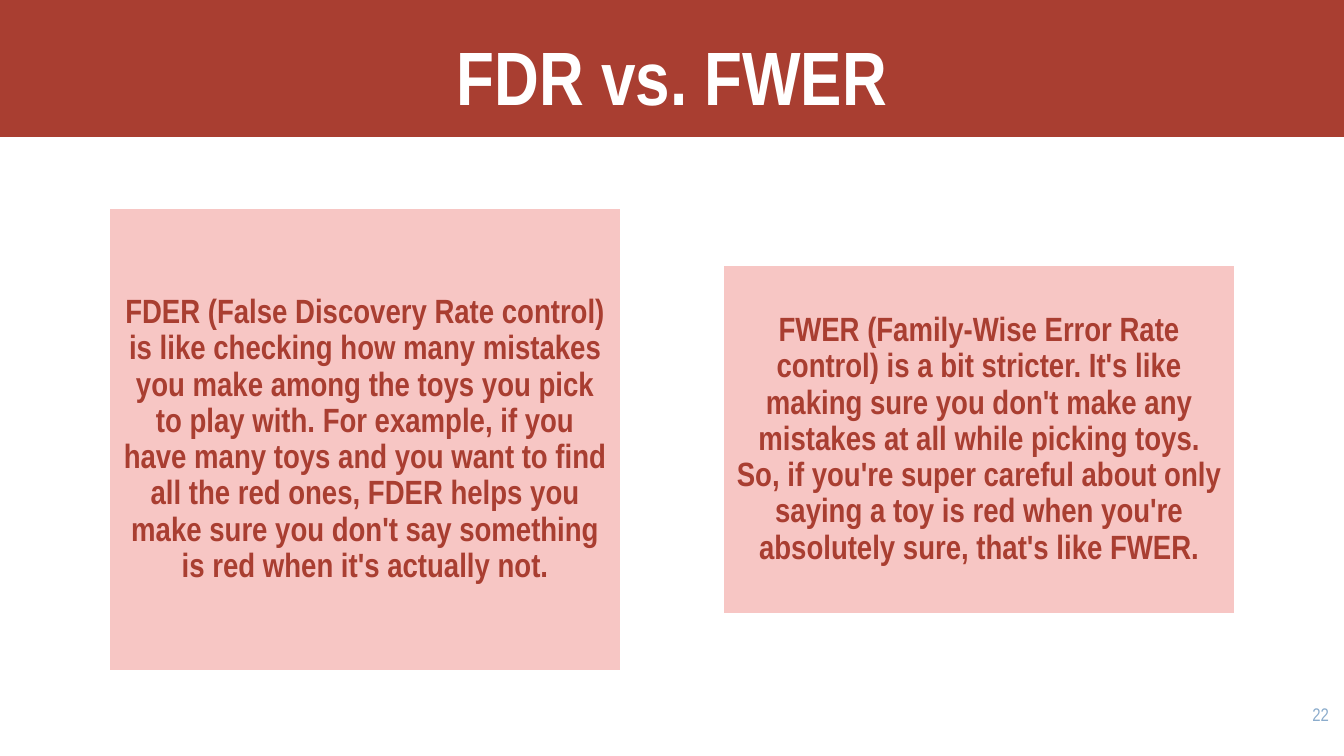
from pptx import Presentation
from pptx.dml.color import RGBColor
from pptx.enum.shapes import MSO_SHAPE
from pptx.enum.text import MSO_ANCHOR, MSO_AUTO_SIZE, PP_ALIGN
from pptx.util import Inches, Pt

RECTANGLE = MSO_SHAPE.RECTANGLE
TOP, MIDDLE, BOTTOM = MSO_ANCHOR.TOP, MSO_ANCHOR.MIDDLE, MSO_ANCHOR.BOTTOM
CENTER, RIGHT = PP_ALIGN.CENTER, PP_ALIGN.RIGHT
NO_AUTOFIT = MSO_AUTO_SIZE.NONE

FONT = "Arial Narrow"
COLORS = {"brick": "A93E31", "pink": "F7C6C4", "white": "FFFFFF", "number": "8BACCC"}

FDR_TEXT = (
    "FDER (False Discovery Rate control) is like checking how many mistakes you make "
    "among the toys you pick to play with. For example, if you have many toys and you "
    "want to find all the red ones, FDER helps you make sure you don't say something "
    "is red when it's actually not."
)
FWER_TEXT = (
    "FWER (Family-Wise Error Rate control) is a bit stricter. It's like making sure "
    "you don't make any mistakes at all while picking toys. So, if you're super careful "
    "about only saying a toy is red when you're absolutely sure, that's like FWER."
)


def color(name):
    return RGBColor.from_string(COLORS[name])


def write(shape, text, *, size, ink, bold=False, align=CENTER, anchor=MIDDLE,
          inset=(0.1, 0.05), spacing=1.0):
    """Put one formatted paragraph into a shape."""
    frame = shape.text_frame
    frame.word_wrap = True
    frame.auto_size = NO_AUTOFIT
    frame.vertical_anchor = anchor
    frame.margin_left = frame.margin_right = Inches(inset[0])
    frame.margin_top = frame.margin_bottom = Inches(inset[1])
    paragraph = frame.paragraphs[0]
    paragraph.alignment = align
    paragraph.line_spacing = spacing
    paragraph.space_before = Pt(0)
    run = paragraph.add_run()
    run.text = text
    run.font.name = FONT
    run.font.size = Pt(size)
    run.font.bold = bold
    run.font.color.rgb = color(ink)


def add_block(slide, left, top, width, height, fill):
    block = slide.shapes.add_shape(
        RECTANGLE, Inches(left), Inches(top), Inches(width), Inches(height))
    block.shadow.inherit = False
    block.fill.solid()
    block.fill.fore_color.rgb = color(fill)
    block.line.fill.background()
    return block


def add_header(slide, left, top, width, height, text):
    band = add_block(slide, left, top, width, height, "brick")
    title = slide.shapes.title
    title.element.addprevious(band.element)  # band lies behind the title
    title.left, title.top = Inches(left), Inches(top - 0.11)
    title.width, title.height = Inches(width), Inches(height)
    write(title, text, size=54, ink="white", bold=True, anchor=BOTTOM)


def add_card(slide, left, middle, width, height, text):
    """Place a definition card centred vertically on middle."""
    card = add_block(slide, left, middle - height / 2, width, height, "pink")
    card.line.color.rgb = color("white")
    card.line.width = Pt(2)
    write(card, text, size=24, ink="brick", bold=True, inset=(0.12, 0.12), spacing=0.9)


def add_page_number(slide, left, top, width, height, number):
    box = slide.shapes.add_textbox(
        Inches(left), Inches(top), Inches(width), Inches(height))
    write(box, number, size=13, ink="number", align=RIGHT, anchor=TOP)


def main():
    deck = Presentation()
    deck.slide_width, deck.slide_height = Inches(13.33), Inches(7.5)
    slide = deck.slides.add_slide(deck.slide_layouts[5])

    # Header
    add_header(slide, 0, 0, 13.33, 1.36, "FDR vs. FWER")

    # Definition cards, mirrored about the slide's centre
    width, margin, middle = 5.08, 1.08, 4.36
    add_card(slide, 13.33 - margin - width, middle, width, 3.47, FWER_TEXT)
    add_card(slide, margin, middle, width, 4.61, FDR_TEXT)

    # Page number
    add_page_number(slide, 12.48, 6.93, 0.8, 0.57, "22")

    deck.save("out.pptx")


if __name__ == "__main__":
    main()
